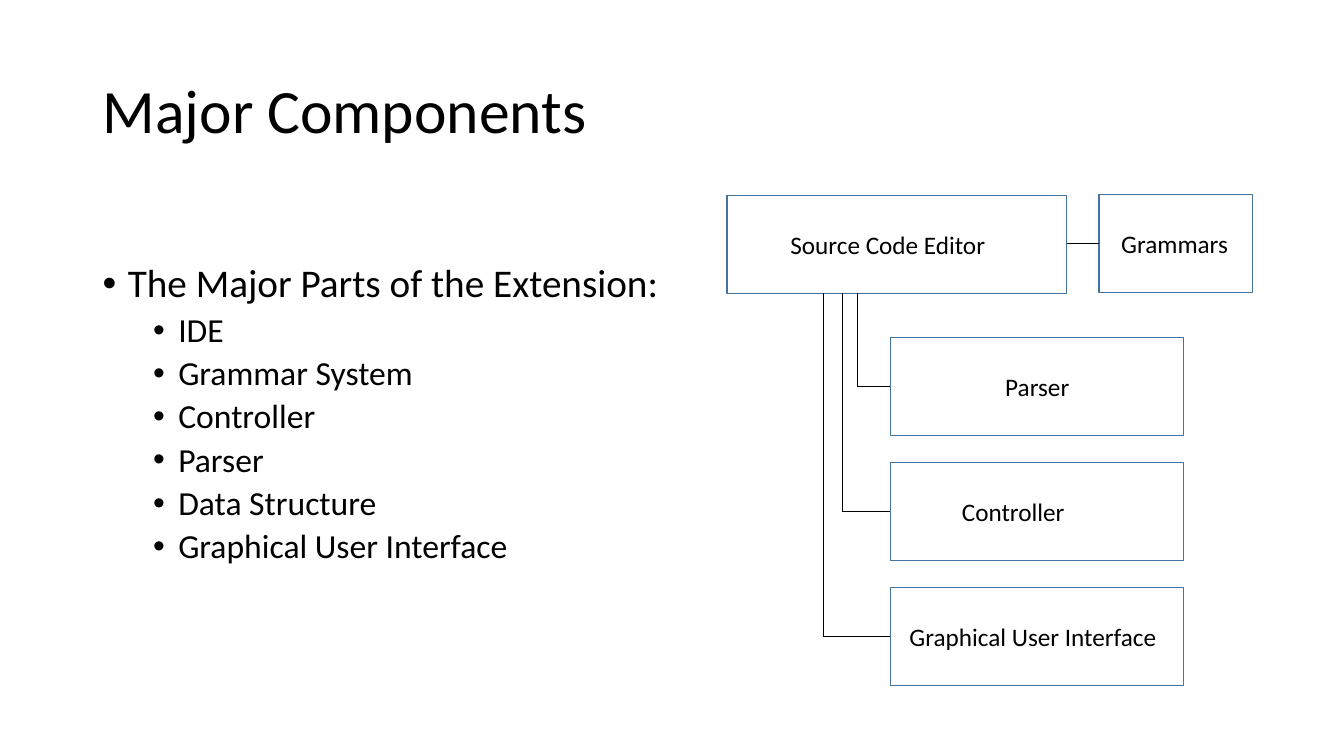
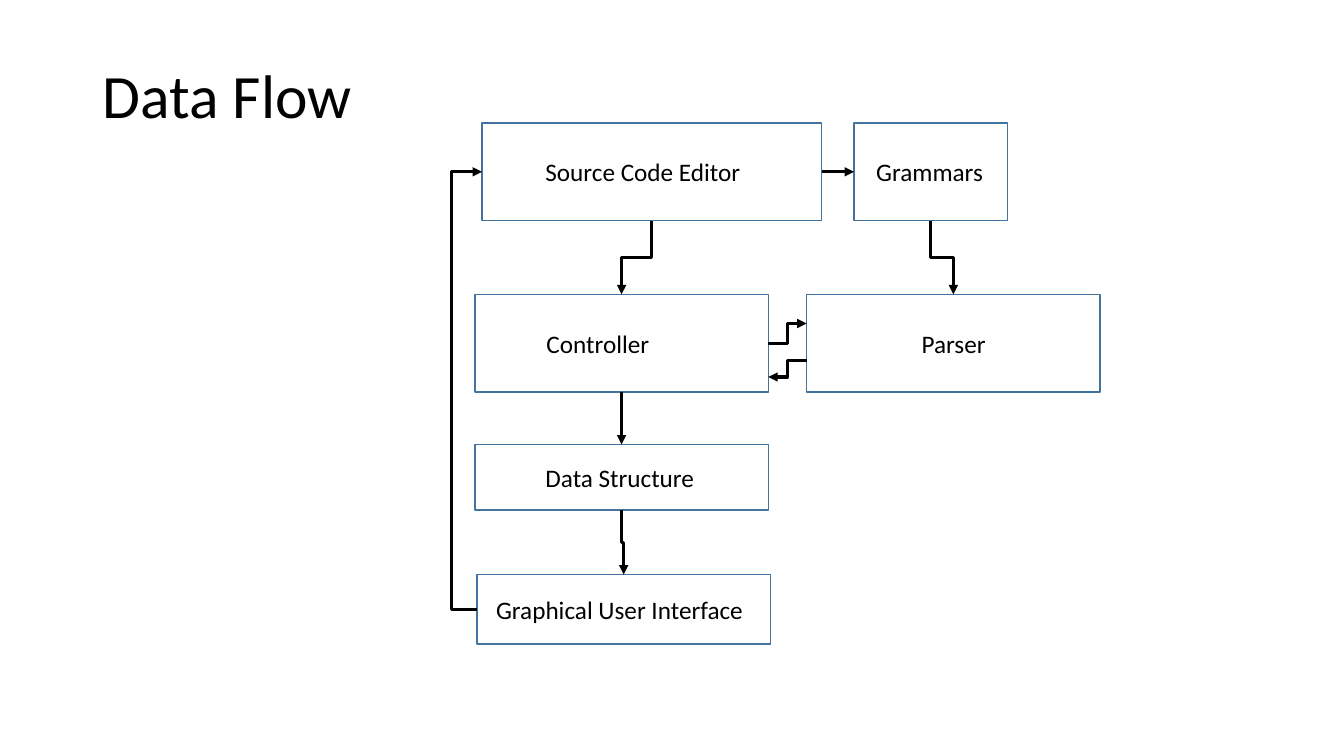
"""Build two slides on the parts of an editor extension and its data flow."""

import math
from dataclasses import dataclass

import lxml.etree
import pptx
import pptx.dml.color
import pptx.enum.shapes
import pptx.enum.text
import pptx.oxml.ns
import pptx.shapes.connector
import pptx.slide
import pptx.text.text
import pptx.util

Inches = pptx.util.Inches
Pt = pptx.util.Pt
qn = pptx.oxml.ns.qn


@dataclass(frozen=True)
class Theme:
    font: str = "Calibri"
    ink: str = "000000"
    border: str = "43739E"
    title_size: float = 44
    lead_size: float = 28
    item_size: float = 24
    label_size: float = 18
    border_width: float = 1
    branch_width: float = 0.5
    flow_width: float = 2.25
    line_spacing: float = 0.9


@dataclass(frozen=True)
class Component:
    label: str
    width: float
    indent: float


@dataclass(frozen=True)
class Node:
    component: Component
    left: float
    top: float
    height: float = 0.97

    @property
    def right(self) -> float:
        return self.left + self.component.width

    @property
    def bottom(self) -> float:
        return self.top + self.height

    @property
    def center(self) -> float:
        return self.left + self.component.width / 2

    @property
    def middle(self) -> float:
        return self.top + self.height / 2


@dataclass(frozen=True)
class Flow:
    start: tuple[float, float]
    end: tuple[float, float]
    angle: int = 0
    bend: float = 0.5


@dataclass(frozen=True)
class Bullet:
    text: str
    size: float
    margin: float
    space_before: float


THEME = Theme()
EDITOR = Component("Source Code Editor", 3.37, 0.63)
GRAMMARS = Component("Grammars", 1.52, 0.22)
PARSER = Component("Parser", 2.91, 1.14)
CONTROLLER = Component("Controller", 2.91, 0.71)
STRUCTURE = Component("Data Structure", 2.91, 0.7)
INTERFACE = Component("Graphical User Interface", 2.91, 0.19)


def color(value: str) -> pptx.dml.color.RGBColor:
    """Turn a hex string into a colour."""
    return pptx.dml.color.RGBColor.from_string(value)


def add_span(para: pptx.text.text._Paragraph, text: str, size: float) -> None:
    """Add one run in the theme font."""
    span = para.add_run()
    span.text = text
    span.font.name = THEME.font
    span.font.size = Pt(size)
    span.font.color.rgb = color(THEME.ink)


def add_title(page: pptx.slide.Slide, text: str, height: float) -> None:
    """Add the slide title, centred in its height."""
    box = page.shapes.add_textbox(Inches(0.92), Inches(0.4), Inches(11.5), Inches(height))
    box.text_frame.word_wrap = True
    box.text_frame.vertical_anchor = pptx.enum.text.MSO_ANCHOR.MIDDLE
    para = box.text_frame.paragraphs[0]
    para.line_spacing = THEME.line_spacing
    add_span(para, text, THEME.title_size)


def add_bullets(page: pptx.slide.Slide, bullets: list[Bullet]) -> None:
    """Add the bulleted list."""
    box = page.shapes.add_textbox(Inches(0.92), Inches(2.57), Inches(6.2), Inches(4.19))
    frame = box.text_frame
    frame.word_wrap = True
    for index, bullet in enumerate(bullets):
        para = frame.add_paragraph() if index else frame.paragraphs[0]
        para.line_spacing = THEME.line_spacing
        para.space_before = Pt(bullet.space_before)
        properties = para._p.get_or_add_pPr()
        properties.set("marL", str(Inches(bullet.margin)))
        properties.set("indent", str(Inches(-0.25)))
        lxml.etree.SubElement(properties, qn("a:buFont")).set("typeface", "Arial")
        lxml.etree.SubElement(properties, qn("a:buChar")).set("char", "•")
        add_span(para, bullet.text, bullet.size)


def add_node(page: pptx.slide.Slide, node: Node) -> None:
    """Add an outlined box with its label."""
    shape = page.shapes.add_shape(
        pptx.enum.shapes.MSO_SHAPE.RECTANGLE,
        Inches(node.left), Inches(node.top), Inches(node.component.width), Inches(node.height),
    )
    shape.shadow.inherit = False
    shape.fill.background()
    shape.line.color.rgb = color(THEME.border)
    shape.line.width = Pt(THEME.border_width)
    frame = shape.text_frame
    frame.word_wrap = True
    frame.margin_left = Inches(node.component.indent)
    frame.margin_right = Inches(0)
    frame.vertical_anchor = pptx.enum.text.MSO_ANCHOR.MIDDLE
    para = frame.paragraphs[0]
    para.alignment = pptx.enum.text.PP_ALIGN.LEFT
    add_span(para, node.component.label, THEME.label_size)


def add_line(
    page: pptx.slide.Slide,
    kind: pptx.enum.shapes.MSO_CONNECTOR,
    start: tuple[float, float],
    end: tuple[float, float],
    width: float,
) -> pptx.shapes.connector.Connector:
    """Add a connector without shadow."""
    line = page.shapes.add_connector(kind, *map(Inches, start + end))
    line.line.color.rgb = color(THEME.ink)
    line.line.width = Pt(width)
    lxml.etree.SubElement(line.element.spPr, qn("a:effectLst"))
    return line


def add_branch(page: pptx.slide.Slide, start: tuple[float, float], end: tuple[float, float]) -> None:
    """Add a thin straight line."""
    add_line(page, pptx.enum.shapes.MSO_CONNECTOR.STRAIGHT, start, end, THEME.branch_width)


def add_flow(page: pptx.slide.Slide, flow: Flow) -> None:
    """Add an arrow that leaves its start along the given angle."""
    (x1, y1), (x2, y2) = flow.start, flow.end
    dx, dy = x2 - x1, y2 - y1
    if min(abs(dx), abs(dy)) < 0.01:
        kind = pptx.enum.shapes.MSO_CONNECTOR.STRAIGHT
        line = add_line(page, kind, flow.start, flow.end, THEME.flow_width)
    else:
        turn = math.radians(flow.angle)
        across = (dx * math.cos(turn) + dy * math.sin(turn)) / 2
        down = (dy * math.cos(turn) - dx * math.sin(turn)) / 2
        x, y = (x1 + x2) / 2, (y1 + y2) / 2
        line = add_line(
            page, pptx.enum.shapes.MSO_CONNECTOR.ELBOW,
            (x - across, y - down), (x + across, y + down), THEME.flow_width,
        )
        properties = line.element.spPr
        properties.find(qn("a:xfrm")).set("rot", str(flow.angle * 60000))
        geometry = properties.find(qn("a:prstGeom"))
        guides = geometry.find(qn("a:avLst"))
        if guides is None:
            guides = lxml.etree.SubElement(geometry, qn("a:avLst"))
        guide = lxml.etree.SubElement(guides, qn("a:gd"))
        guide.set("name", "adj1")
        guide.set("fmla", f"val {round(flow.bend * 100000)}")
    outline = line.element.spPr.find(qn("a:ln"))
    lxml.etree.SubElement(outline, qn("a:tailEnd")).set("type", "triangle")


def build_components(page: pptx.slide.Slide) -> None:
    """Draw the list and tree of components."""
    add_title(page, "Major Components", 1.45)
    items = ["IDE", "Grammar System", "Controller", "Parser", "Data Structure", "Graphical User Interface"]
    lead = Bullet("The Major Parts of the Extension:", THEME.lead_size, 0.25, 0)
    add_bullets(page, [lead] + [Bullet(item, THEME.item_size, 0.75, 5) for item in items])

    editor = Node(EDITOR, 7.21, 1.94)
    grammars = Node(GRAMMARS, 10.9, 1.93)
    add_node(page, editor)
    add_node(page, grammars)
    add_branch(page, (editor.right, grammars.middle), (grammars.left, grammars.middle))
    children = [(PARSER, 8.5), (CONTROLLER, 8.35), (INTERFACE, 8.17)]
    for row, (component, trunk) in enumerate(children):
        child = Node(component, 8.83, 3.35 + 1.24 * row)
        add_node(page, child)
        add_branch(page, (trunk, editor.bottom), (trunk, child.middle))
        add_branch(page, (trunk, child.middle), (child.left, child.middle))


def build_data_flow(page: pptx.slide.Slide) -> None:
    """Draw the components and the arrows between them."""
    add_title(page, "Data Flow", 1.15)
    editor = Node(EDITOR, 4.78, 1.22)
    grammars = Node(GRAMMARS, 8.47, 1.22)
    controller = Node(CONTROLLER, 4.71, 2.92)
    parser = Node(PARSER, 8, 2.92)
    structure = Node(STRUCTURE, 4.71, 4.41, 0.65)
    interface = Node(INTERFACE, 4.73, 5.7, 0.69)
    for node in (editor, grammars, controller, parser, structure, interface):
        add_node(page, node)

    flows = [
        Flow((editor.right, editor.middle), (grammars.left, grammars.middle)),
        Flow((grammars.center, grammars.bottom), (parser.center, parser.top), 270),
        Flow((controller.right, controller.middle), (parser.left, parser.top + 0.29)),
        Flow((parser.left, parser.top + 0.66), (controller.right, controller.top + 0.82), 180),
        Flow((controller.center, controller.bottom), (structure.center, structure.top), 90),
        Flow((structure.center, structure.bottom), (interface.center, interface.top), 270),
        Flow((editor.center, editor.bottom), (controller.center, controller.top), 90),
        Flow((interface.left, interface.middle), (editor.left, editor.middle), 180, -5),
    ]
    for flow in flows:
        add_flow(page, flow)


def main() -> None:
    """Build and save the deck."""
    deck = pptx.Presentation()
    deck.slide_width = Inches(13.33)
    deck.slide_height = Inches(7.5)
    for build in (build_components, build_data_flow):
        build(deck.slides.add_slide(deck.slide_layouts[6]))
    deck.save("out.pptx")


if __name__ == "__main__":
    main()
